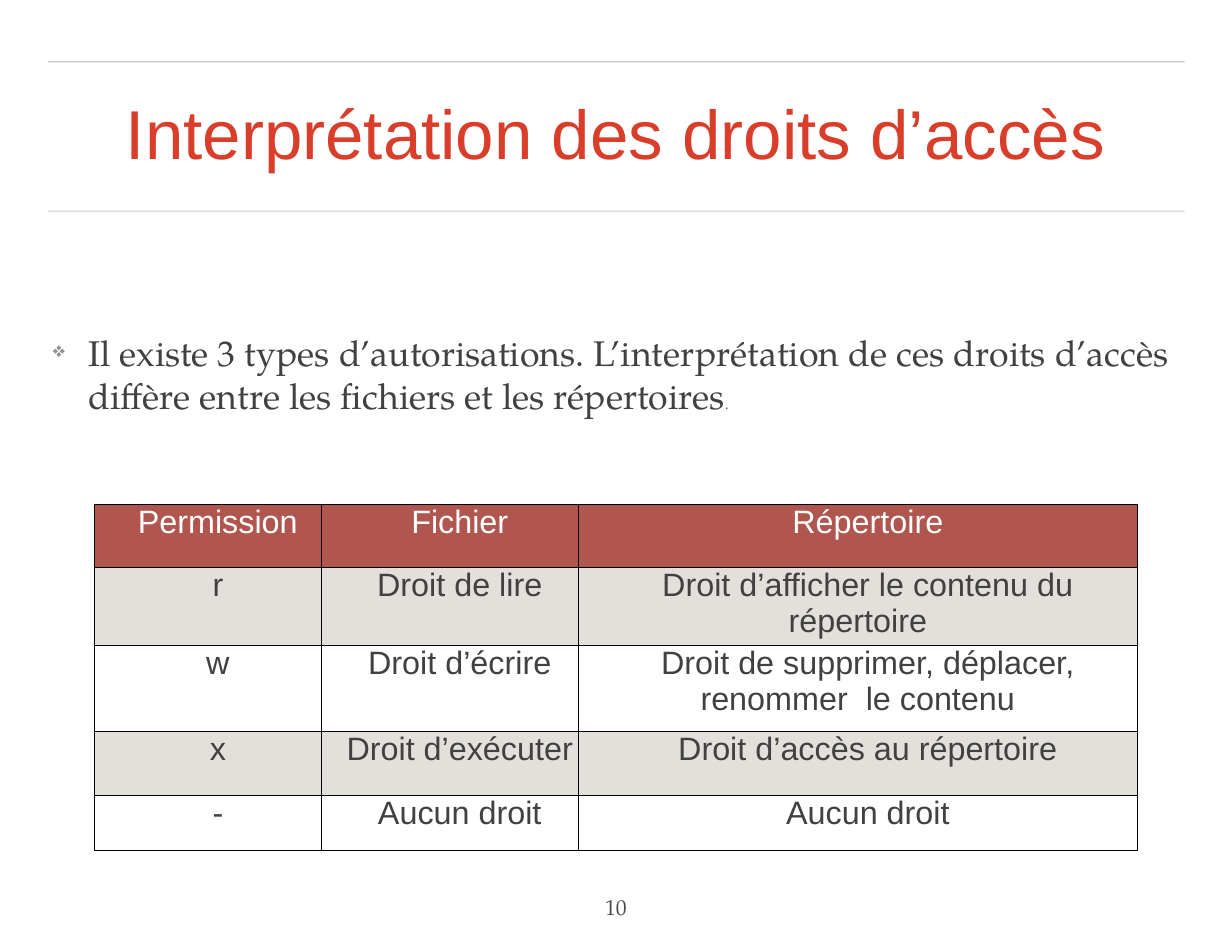
from lxml.etree import SubElement
from pptx import Presentation
from pptx.dml.color import RGBColor
from pptx.enum.shapes import MSO_CONNECTOR
from pptx.enum.text import MSO_ANCHOR, PP_ALIGN
from pptx.oxml.ns import qn
from pptx.util import Inches, Pt

RED = RGBColor(0xD9, 0x3E, 0x2B)
BRICK = RGBColor(0xB0, 0x56, 0x4E)
SAND = RGBColor(0xC9, 0xC3, 0xBA)
WHITE = RGBColor(0xFF, 0xFF, 0xFF)
BLACK = RGBColor(0x00, 0x00, 0x00)
CHARCOAL = RGBColor(0x41, 0x41, 0x41)
RULE_GRAY = RGBColor(0x44, 0x44, 0x44)
BULLET_GRAY = RGBColor(0x92, 0x92, 0x92)
NUMBER_GRAY = RGBColor(0x4C, 0x49, 0x46)

SANS = "Arial"
SERIF = "TeX Gyre Pagella"
SMALL_SERIF = "Cambria"

MARGIN = 0.6
CONTENT_WIDTH = 14.15
COLUMN_WIDTHS = [2.82, 3.21, 6.96]
ROW_HEIGHTS = [0.79, 0.78, 1.07, 0.8, 0.69]
PERMISSIONS = [
    ["Permission", "Fichier", "Répertoire"],
    ["r", "Droit de lire", "Droit d’afficher le contenu du répertoire"],
    ["w", "Droit d’écrire", "Droit de supprimer, déplacer, renommer  le contenu"],
    ["x", "Droit d’exécuter", "Droit d’accès au répertoire"],
    ["-", "Aucun droit", "Aucun droit"],
]


def set_alpha(color_parent, percent):
    color = next(color_parent.iter(qn("a:srgbClr")))
    SubElement(color, qn("a:alpha"), val=str(percent * 1000))


class SlideWriter:
    def __init__(self, page):
        self.page = page
        self.inset = Inches(0.06)

    def rule(self, top):
        line = self.page.shapes.add_connector(
            MSO_CONNECTOR.STRAIGHT, Inches(MARGIN), Inches(top), Inches(14.76), Inches(top))
        line.line.color.rgb = RULE_GRAY
        line.line.width = Pt(1)
        properties = line._element.spPr
        set_alpha(properties, 30)
        SubElement(properties, qn("a:effectLst"))

    def span(self, para, text, size, font, color):
        span = para.add_run()
        span.text = text
        span.font.size = Pt(size)
        span.font.name = font
        span.font.color.rgb = color

    def text(self, left, top, width, height, align, wrap=True, anchor=MSO_ANCHOR.TOP):
        box = self.page.shapes.add_textbox(
            Inches(left), Inches(top), Inches(width), Inches(height))
        frame = box.text_frame
        frame.word_wrap = wrap
        frame.vertical_anchor = anchor
        frame.margin_left = frame.margin_right = self.inset
        frame.margin_top = frame.margin_bottom = self.inset
        para = frame.paragraphs[0]
        para.alignment = align
        return para

    def bullet(self, para, symbol, indent):
        properties = para._p.get_or_add_pPr()
        properties.set("marL", str(Inches(indent)))
        properties.set("indent", str(-Inches(indent)))
        color = SubElement(properties, qn("a:buClr"))
        SubElement(color, qn("a:srgbClr"), val=str(BULLET_GRAY))
        SubElement(properties, qn("a:buSzPct"), val="60000")
        SubElement(properties, qn("a:buChar"), char=symbol)

    def cell_borders(self, cell):
        properties = cell._tc.get_or_add_tcPr()
        for side in ("a:lnL", "a:lnR", "a:lnT", "a:lnB"):
            border = SubElement(properties, qn(side), w=str(Pt(1)))
            fill = SubElement(border, qn("a:solidFill"))
            SubElement(fill, qn("a:srgbClr"), val=str(BLACK))

    def cell_fill(self, cell, row):
        if row == 0:
            cell.fill.solid()
            cell.fill.fore_color.rgb = BRICK
        elif row % 2:
            cell.fill.solid()
            cell.fill.fore_color.rgb = SAND
            set_alpha(cell._tc.tcPr.find(qn("a:solidFill")), 50)
        else:
            cell.fill.background()

    def cell(self, cell, text, row):
        cell.margin_left = cell.margin_right = 0
        cell.margin_top = cell.margin_bottom = 0
        self.cell_borders(cell)
        self.cell_fill(cell, row)
        para = cell.text_frame.paragraphs[0]
        para.alignment = PP_ALIGN.CENTER
        para._p.get_or_add_pPr().set("indent", str(Inches(0.25)))
        self.span(para, text, 29, SANS, CHARCOAL if row else WHITE)

    def table(self, left, top, rows, widths, heights):
        table = self.page.shapes.add_table(
            len(rows), len(widths), Inches(left), Inches(top),
            Inches(sum(widths)), Inches(sum(heights))).table
        table.horz_banding = False
        table.first_row = False
        for column, width in zip(table.columns, widths):
            column.width = Inches(width)
        for row, height in zip(table.rows, heights):
            row.height = Inches(height)
        for row, texts in enumerate(rows):
            for column, text in enumerate(texts):
                self.cell(table.cell(row, column), text, row)


def main():
    deck = Presentation()
    deck.slide_width = Inches(15.35)
    deck.slide_height = Inches(11.81)
    writer = SlideWriter(deck.slides.add_slide(deck.slide_layouts[6]))

    for top in (2.63, 0.77):
        writer.rule(top)

    title = writer.text(MARGIN, 0.97, CONTENT_WIDTH, 1.48, PP_ALIGN.CENTER,
                        anchor=MSO_ANCHOR.MIDDLE)
    title.line_spacing = 0.9
    writer.span(title, "Interprétation des droits d’accès", 62, SANS, RED)

    body = writer.text(MARGIN, 4.06, CONTENT_WIDTH, 1.3, PP_ALIGN.JUSTIFY)
    writer.bullet(body, "❖", 0.44)
    writer.span(body, "Il existe 3 types d’autorisations. L’interprétation de ces droits "
                "d’accès  diffère entre les fichiers et les répertoires", 32, SERIF, CHARCOAL)
    writer.span(body, ".", 13, SMALL_SERIF, CHARCOAL)

    writer.table(1.18, 6.28, PERMISSIONS, COLUMN_WIDTHS, ROW_HEIGHTS)

    number = writer.text(7.48, 11.08, 0.39, 0.44, PP_ALIGN.CENTER, wrap=False)
    writer.span(number, "10", 19.4, SERIF, NUMBER_GRAY)

    deck.save("out.pptx")


if __name__ == "__main__":
    main()
